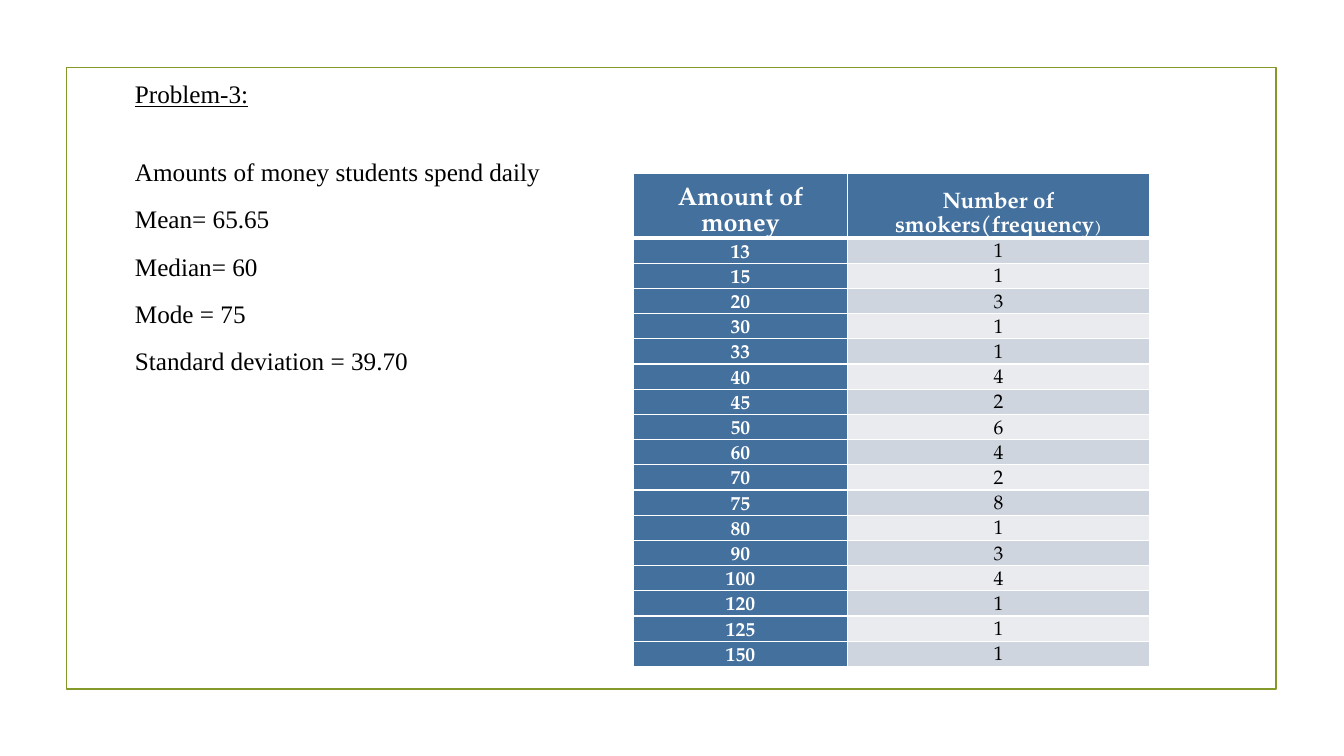
import pptx
import pptx.util
import pptx.dml.color
import pptx.enum.shapes
import pptx.enum.text
import pptx.oxml
import pptx.oxml.ns
from lxml import etree

Pt = pptx.util.Pt
RGB = pptx.dml.color.RGBColor
ALIGN = pptx.enum.text.PP_ALIGN
ANCHOR = pptx.enum.text.MSO_ANCHOR

TITLE = "Problem-3:"
FACTS = [
    "Amounts of money students spend daily",
    "Mean= 65.65",
    "Median= 60",
    "Mode = 75",
    "Standard deviation = 39.70",
]
# Each heading is a list of (text, size) runs.
HEADS = [
    [("Amount of money", 18)],
    [("Number of smokers(frequency", 16), (")", 11)],
]
COUNTS = [
    (13, 1), (15, 1), (20, 3), (30, 1), (33, 1), (40, 4), (45, 2), (50, 6),
    (60, 4), (70, 2), (75, 8), (80, 1), (90, 3), (100, 4), (120, 1),
    (125, 1), (150, 1),
]

SERIF = "Times New Roman"
BOOK = "TeX Gyre Pagella"
BLACK = RGB(0, 0, 0)
WHITE = RGB(0xFF, 0xFF, 0xFF)
GREEN = RGB(0x83, 0x99, 0x2A)
BLUE = RGB(0x44, 0x70, 0x9D)
BANDS = [RGB(0xCF, 0xD5, 0xDF), RGB(0xE9, 0xEB, 0xEF)]

WIDTHS = [153.4, 215.3]
HEAD_H, ROW_H = 21.6, 17.3
TABLE_H = 346.3


def write(para, runs, font=SERIF, color=BLACK, bold=False, under=False,
          align=ALIGN.LEFT, lines=1.0, before=0):
    para.alignment = align
    para.line_spacing = lines
    para.space_before = Pt(before)
    for text, size in runs:
        run = para.add_run()
        run.text = text
        run.font.name = font
        run.font.size = Pt(size)
        run.font.bold = bold
        run.font.underline = under
        run.font.color.rgb = color


def edge(cell, base):
    """Draw white cell borders; base is the width of the bottom one."""
    props = cell._tc.get_or_add_tcPr()
    sides = [("lnL", 1), ("lnR", 1), ("lnT", 1), ("lnB", base)]
    for spot, (tag, width) in enumerate(sides):
        line = pptx.oxml.parse_xml(
            f'<a:{tag} {pptx.oxml.ns.nsdecls("a")} w="{Pt(width)}">'
            f'<a:solidFill><a:srgbClr val="{WHITE}"/></a:solidFill></a:{tag}>')
        props.insert(spot, line)


def fill_cell(cell, runs, fill, color, bold, base=1):
    cell.margin_left = cell.margin_right = Pt(5)
    cell.margin_top = cell.margin_bottom = 0
    cell.vertical_anchor = ANCHOR.BOTTOM
    cell.fill.solid()
    cell.fill.fore_color.rgb = fill
    edge(cell, base)
    write(cell.text_frame.paragraphs[0], runs, font=BOOK, color=color,
          bold=bold, align=ALIGN.CENTER, lines=1.07)


def add_border(slide):
    rect = slide.shapes.add_shape(
        pptx.enum.shapes.MSO_SHAPE.RECTANGLE,
        Pt(47.5), Pt(48.2), Pt(864), Pt(444.2))
    rect.shadow.inherit = False
    rect.fill.background()
    rect.line.color.rgb = GREEN
    rect.line.width = Pt(1.25)


def add_facts(slide):
    box = slide.shapes.add_textbox(Pt(89.3), Pt(52.6), Pt(782), Pt(301.7))
    frame = box.text_frame
    frame.word_wrap = True
    write(frame.paragraphs[0], [(TITLE, 18)], under=True, before=1.3)
    for num, fact in enumerate(FACTS):
        write(frame.add_paragraph(), [(fact, 18)], lines=1.5,
              before=1.3 if num else 23.3)


def add_counts(slide):
    shape = slide.shapes.add_table(
        len(COUNTS) + 1, len(WIDTHS),
        Pt(452.2), Pt(123.8), Pt(sum(WIDTHS)), Pt(TABLE_H))
    table = shape.table
    for col, width in zip(table.columns, WIDTHS):
        col.width = Pt(width)
    for num, row in enumerate(table.rows):
        row.height = Pt(ROW_H if num else HEAD_H)
    shape.height = Pt(TABLE_H)
    for col, runs in enumerate(HEADS):
        fill_cell(table.cell(0, col), runs, BLUE, WHITE, True, base=3)
    for num, (money, count) in enumerate(COUNTS):
        fill_cell(table.cell(num + 1, 0), [(str(money), 14)],
                  BLUE, WHITE, True)
        fill_cell(table.cell(num + 1, 1), [(str(count), 14)],
                  BANDS[num % 2], BLACK, False)


def main():
    deck = pptx.Presentation()
    deck.slide_width, deck.slide_height = Pt(960), Pt(540)
    slide = deck.slides.add_slide(deck.slide_layouts[6])
    add_border(slide)
    add_facts(slide)
    add_counts(slide)
    deck.save("out.pptx")


if __name__ == "__main__":
    main()
